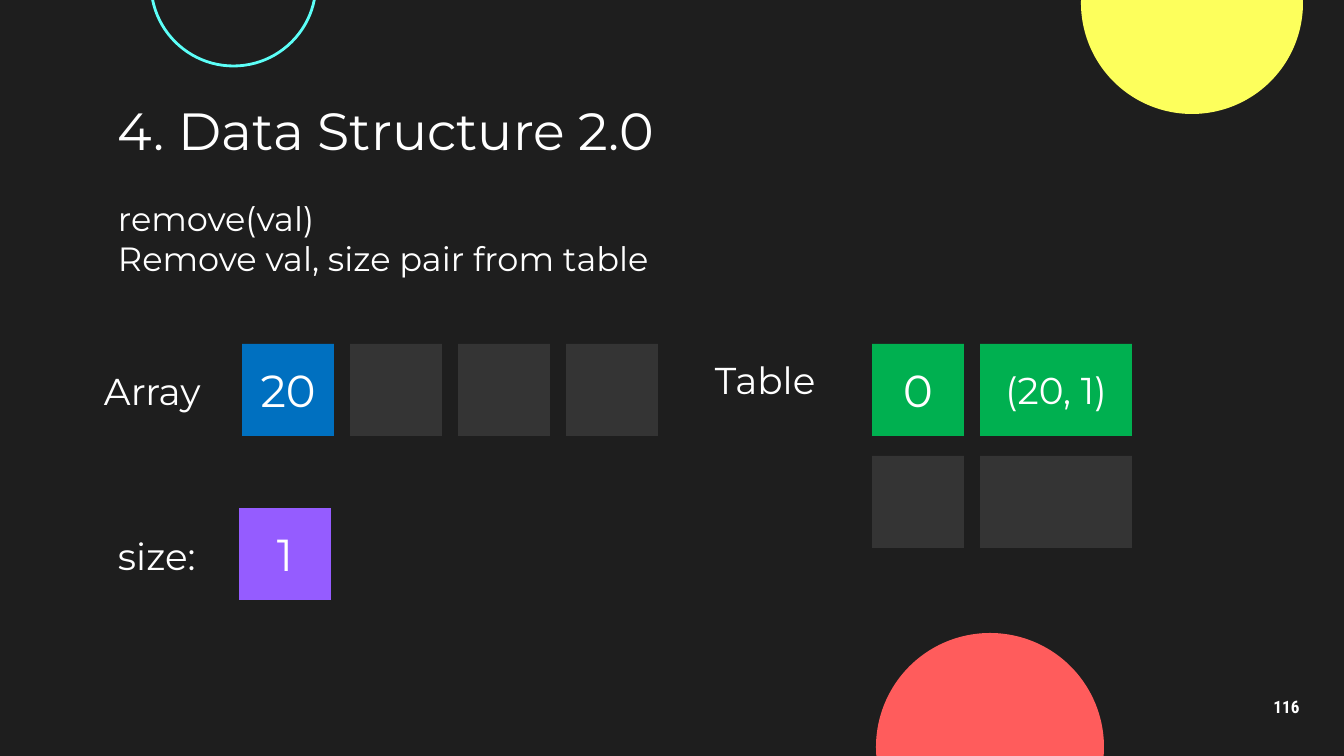
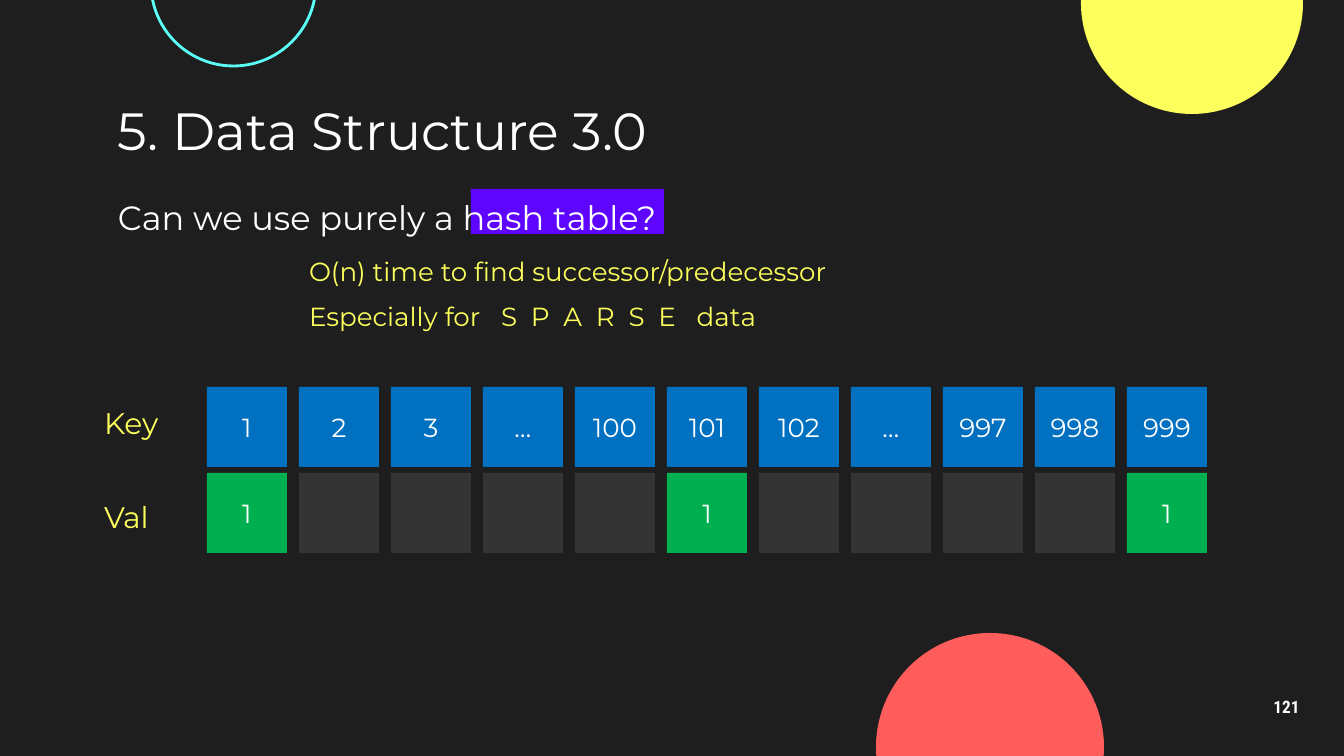
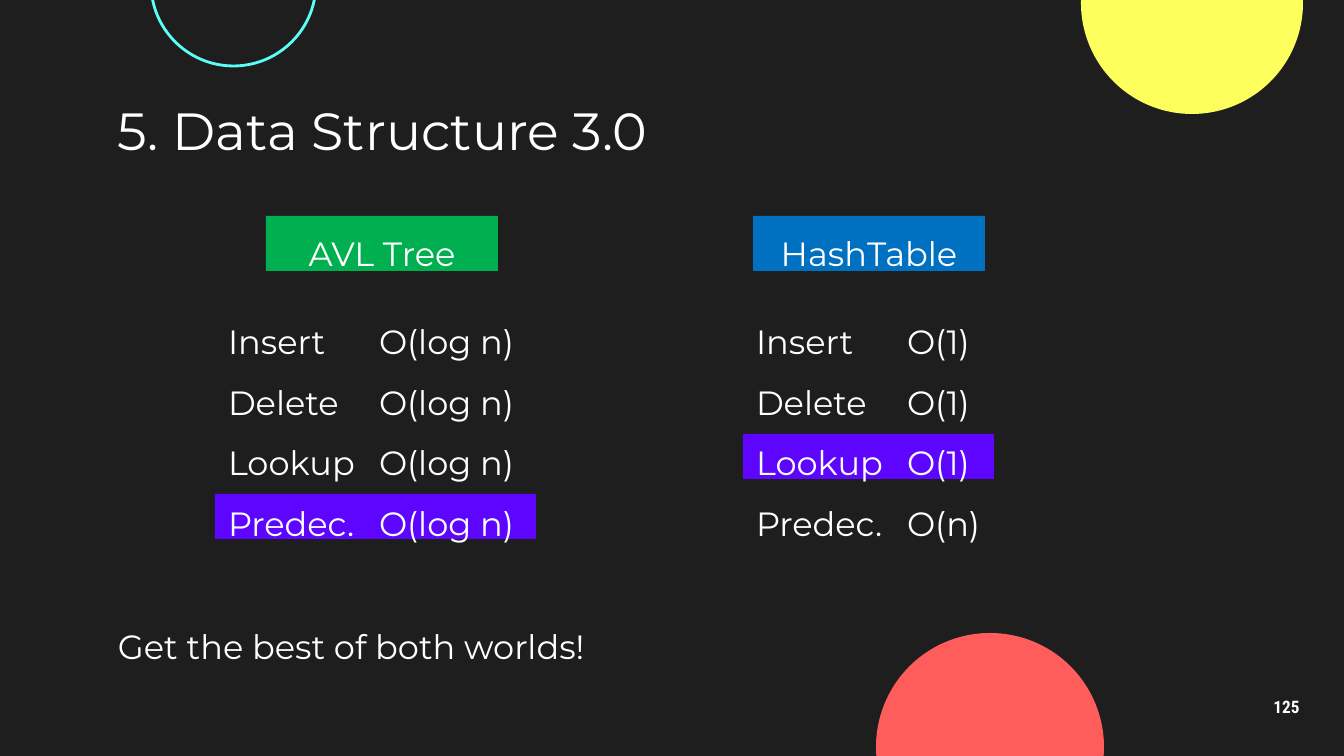
from lxml.etree import SubElement as Sub
from pptx import Presentation as Deck
from pptx.dml.color import RGBColor as Rgb
from pptx.enum.shapes import MSO_SHAPE as Form
from pptx.enum.text import MSO_ANCHOR as Anchor, PP_ALIGN as Align
from pptx.oxml.ns import qn
from pptx.util import Emu, Pt

HUES = {
    "night": "1E1E1E", "slate": "343434", "white": "FFFFFF",
    "yellow": "FDFF5C", "cyan": "5CFFF8", "coral": "FF5C5C",
    "blue": "0070C0", "green": "00B050", "lilac": "955CFF",
    "violet": "5D05FF",
}
FACE = "Montserrat"
SCALE = 914400 / 134.4
INSET = 13
EDGE = 105


def px(num):
    return Emu(round(num * SCALE))


def hue(name):
    return Rgb.from_string(HUES[name])


def assign(item, vals):
    for key, val in vals.items():
        setattr(item, key, val)


class Board:
    def __init__(self):
        self.deck = Deck()
        assign(self.deck, {"slide_width": px(1344), "slide_height": px(756)})
        self.blank = self.deck.slide_layouts[6]
        fill = self.deck.slide_master.background.fill
        fill.solid()
        fill.fore_color.rgb = hue("night")
        self.slide = None

    def start(self, title, num):
        first = self.slide is None
        self.slide = self.deck.slides.add_slide(self.blank)
        if first:
            self.adorn()
        self.text(EDGE, 95, 1134, 69, title, size=28, mid=True)
        self.text(1246, 685, 81, 46, num, size=9.2, face="Roboto Condensed",
                  bold=True, lead=0.9, mid=True, align=Align.CENTER)

    def adorn(self):
        discs = [
            self.shape(1081, -108, 222, 222, "yellow", Form.OVAL),
            self.shape(151, -99, 165, 165, None, Form.OVAL, "cyan"),
            self.shape(876, 633, 228, 228, "coral", Form.OVAL),
        ]
        for disc in discs:
            self.blank.shapes.element.append(disc.element)

    def shape(self, x, y, w, h, fill, form=Form.RECTANGLE, line=None):
        item = self.slide.shapes.add_shape(form, px(x), px(y), px(w), px(h))
        item.shadow.inherit = False
        if fill:
            item.fill.solid()
            item.fill.fore_color.rgb = hue(fill)
        else:
            item.fill.background()
        if line:
            item.line.color.rgb = hue(line)
            item.line.width = Pt(1.5)
        else:
            item.line.fill.background()
        return item

    def text(self, x, y, w, h, *lines, mid=False, **style):
        item = self.slide.shapes.add_textbox(px(x), px(y), px(w), px(h))
        self.label(item.text_frame, lines, mid, **style)

    def cell(self, x, y, w, h, fill, words="", **style):
        item = self.shape(x, y, w, h, fill)
        if words:
            self.label(item.text_frame, [words], True,
                       align=Align.CENTER, **style)

    def label(self, frame, lines, mid, size=18, color="white", face=FACE,
              bold=False, lead=1.0, align=Align.LEFT, tab=0):
        gap = px(INSET)
        assign(frame, {
            "word_wrap": True,
            "vertical_anchor": Anchor.MIDDLE if mid else Anchor.TOP,
            "margin_left": gap, "margin_right": gap,
            "margin_top": gap, "margin_bottom": gap,
        })
        for pos, line in enumerate(lines):
            par = frame.add_paragraph() if pos else frame.paragraphs[0]
            assign(par, {"alignment": align, "line_spacing": lead})
            if tab:
                tabs = Sub(par._p.get_or_add_pPr(), qn("a:tabLst"))
                Sub(tabs, qn("a:tab"), pos=str(px(tab)), algn="l")
            runs = [(line, 0)] if isinstance(line, str) else line
            for words, space in runs:
                run = par.add_run()
                run.text = words
                assign(run.font, {"size": Pt(size), "name": face, "bold": bold})
                run.font.color.rgb = hue(color)
                if space:
                    run._r.get_or_add_rPr().set("spc", str(space))

    def save(self):
        self.deck.save("out.pptx")


def remove(board):
    board.start("4. Data Structure 2.0", "116")
    board.text(EDGE, 185, 1094, 69, "remove(val)",
               "Remove val, size pair from table")
    side, step, top = 92, 108, 344
    for x, y, w, name in [(91, 355, 142, "Array"), (EDGE, 520, 142, "size:"),
                          (702, top, 138, "Table")]:
        board.text(x, y, w, 69, name, size=20)
    for col, val in enumerate(["20", "", "", ""]):
        board.cell(242 + col * step, top, side, side,
                   "blue" if val else "slate", val, size=24)
    board.cell(239, 508, side, side, "lilac", "1", size=24)
    for row, (key, pair) in enumerate([("0", "(20, 1)"), ("", "")]):
        y = top + row * 112
        fill = "green" if key else "slate"
        board.cell(872, y, side, side, fill, key, size=24)
        board.cell(872 + step, y, 152, side, fill, pair, size=20)


def sparse(board):
    board.start("5. Data Structure 3.0", "121")
    board.shape(471, 189, 193, 45, "violet")
    board.text(EDGE, 164, 1094, 69, "Can we use purely a hash table?", lead=1.5)
    wide = [("Especially for", 0), (" ", 730), ("S P A R S E", 183),
            (" ", 550), ("data", 0)]
    notes = ["O(n) time to find successor/predecessor", wide]
    for row, note in enumerate(notes):
        board.text(296, 242 + row * 45, 566, 69, note, size=14, color="yellow")
    keys = ["1", "2", "3", "…", "100", "101", "102", "…", "997", "998", "999"]
    for col, key in enumerate(keys):
        x = 207 + col * 92
        val = "1" if key in ("1", "101", "999") else ""
        board.cell(x, 387, 80, 80, "blue", key, size=14)
        board.cell(x, 473, 80, 80, "green" if val else "slate", val, size=14)
    for y, name in [(392, "Key"), (486, "Val")]:
        board.text(91, y, 103, 69, name, size=16, color="yellow")


def compare(board):
    board.start("5. Data Structure 3.0", "125")
    tasks = ["Insert", "Delete", "Lookup", "Predec."]
    sides = [
        (215, 266, "AVL Tree", "green", ["O(log n)"] * 4, 3, 321),
        (743, 753, "HashTable", "blue", ["O(1)"] * 3 + ["O(n)"], 2, 251),
    ]
    for x, head, name, fill, costs, best, width in sides:
        board.shape(x, 314 + best * 60, width, 45, "violet")
        board.cell(head, 216, 232, 55, fill, name, lead=1.5)
        lines = [f"{task}\t{cost}" for task, cost in zip(tasks, costs)]
        board.text(x, 288, 382, 69, *lines, lead=1.5, tab=151)
    board.text(EDGE, 593, 675, 69, "Get the best of both worlds!", lead=1.5)


def main():
    board = Board()
    for draw in (remove, sparse, compare):
        draw(board)
    board.save()


if __name__ == "__main__":
    main()
